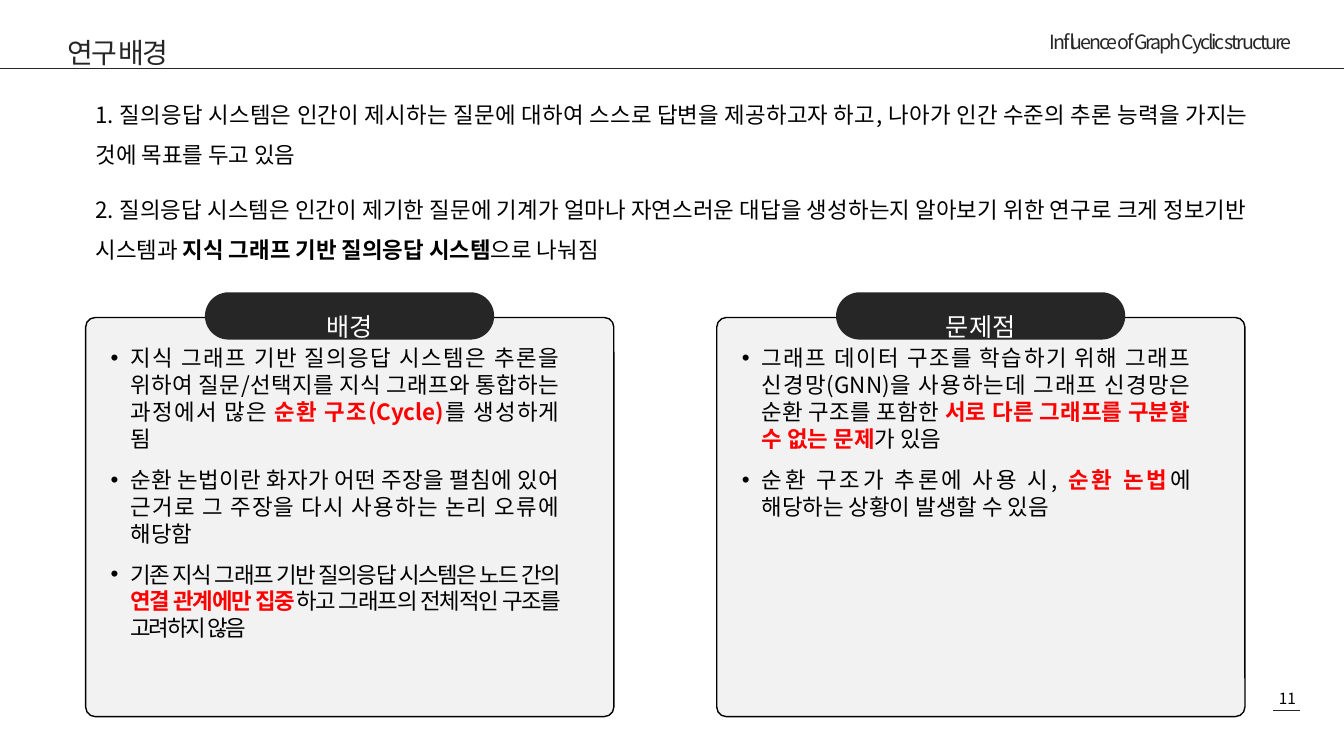
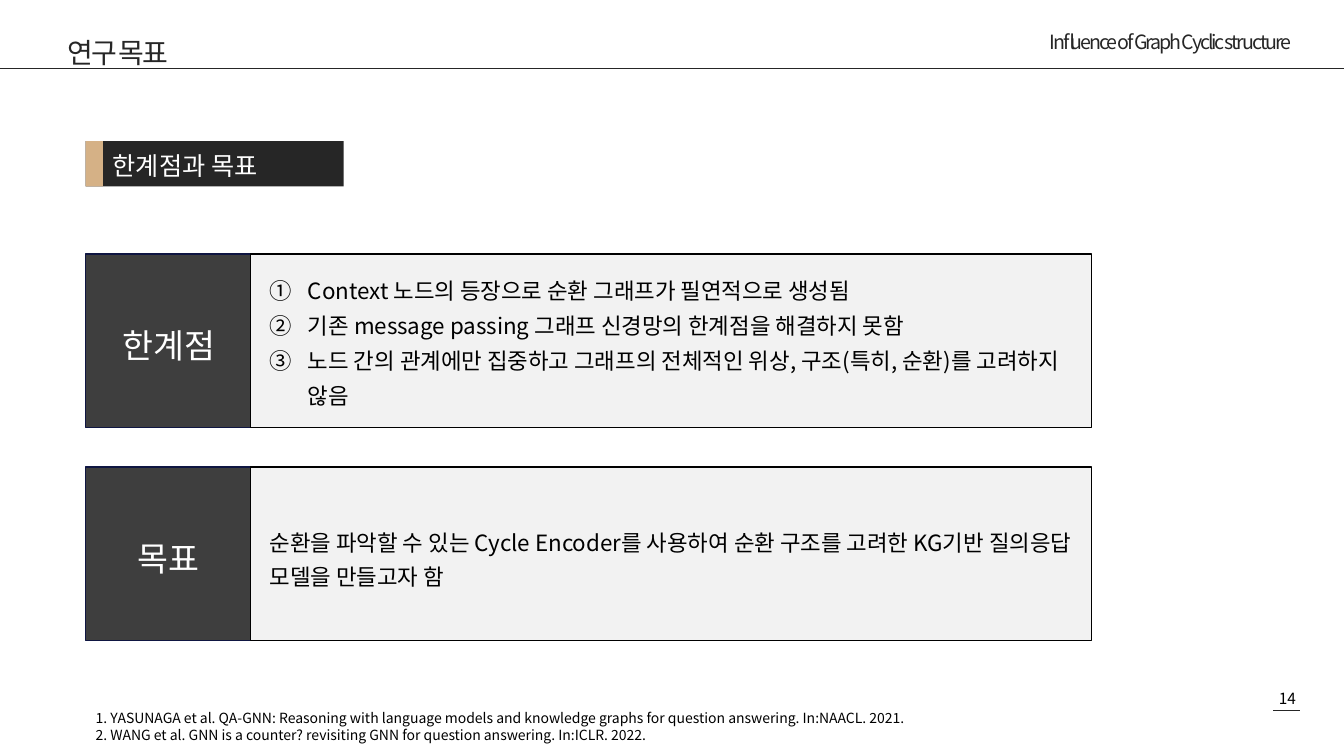
"""Build two research slides: background with problems, and limitations with goals."""

import dataclasses

import lxml.etree
import pptx
import pptx.dml.color
import pptx.enum.shapes
import pptx.enum.text
import pptx.oxml.ns
import pptx.util

Pt = pptx.util.Pt
ALIGN = pptx.enum.text.PP_ALIGN
ANCHOR = pptx.enum.text.MSO_ANCHOR
SHAPE = pptx.enum.shapes.MSO_SHAPE


@dataclasses.dataclass(frozen=True)
class Theme:
    """Colours, type sizes and shared measures of the deck."""

    font: str = "Noto Sans CJK KR"
    ink: str = "262626"
    text: str = "000000"
    light: str = "FFFFFF"
    alert: str = "FF0000"
    accent: str = "D5B186"
    panel: str = "F2F2F2"
    label: str = "3E3E3E"
    label_line: str = "0F1642"
    title_size: float = 20
    running_size: float = 14
    number_size: float = 11
    heading_size: float = 18
    label_size: float = 24
    body_size: float = 16
    reference_size: float = 10
    line_height: float = 1.2
    left: float = 61.2


THEME = Theme()


@dataclasses.dataclass(frozen=True)
class TextStyle:
    """Character and paragraph settings of one kind of text."""

    size: float
    color: str = THEME.text
    align: ALIGN = ALIGN.LEFT
    leading: float = 1
    gap: float = 0
    tracking: float = 0
    indent: float = 0
    hanging: float = 0
    bullet: str = ""
    numbering: str = ""


TITLE = TextStyle(THEME.title_size, THEME.ink, leading=1.3, tracking=-1.5)
RUNNING = TextStyle(THEME.running_size, THEME.ink, ALIGN.RIGHT, tracking=-1.5)
NUMBER = TextStyle(THEME.number_size, align=ALIGN.CENTER)
PILL = TextStyle(THEME.heading_size, THEME.light, ALIGN.CENTER)
SECTION = TextStyle(THEME.heading_size, THEME.light)
LABEL = TextStyle(THEME.label_size, THEME.light, ALIGN.CENTER, leading=1.2)
INTRO = TextStyle(THEME.body_size, align=ALIGN.JUSTIFY, leading=1.5, gap=10)
BULLET = TextStyle(THEME.body_size, align=ALIGN.JUSTIFY, gap=10,
                   indent=14.2, hanging=14.2, bullet="•")
TIGHT_BULLET = dataclasses.replace(BULLET, tracking=-1.5)
NUMBERED = TextStyle(THEME.body_size, leading=1.3, indent=33.8, hanging=27.4,
                     numbering="circleNumDbPlain")
STATEMENT = TextStyle(THEME.body_size, leading=1.3, indent=6.5)
REFERENCE = TextStyle(THEME.reference_size)


def rgb(value):
    """Return a colour object for a hexadecimal value."""
    return pptx.dml.color.RGBColor.from_string(value)


def add_element(parent, tag, **attributes):
    """Append a drawing element with the given attributes."""
    element = lxml.etree.SubElement(parent, pptx.oxml.ns.qn(tag))
    for name, value in attributes.items():
        element.set(name, value)


def add_run(paragraph, text, style, emphasis=""):
    """Add one run, optionally in bold or in bold alert colour."""
    run = paragraph.add_run()
    run.text = text
    run.font.size = Pt(style.size)
    run.font.bold = bool(emphasis)
    run.font.color.rgb = rgb(THEME.alert if emphasis == "alert" else style.color)
    run.font.name = THEME.font
    properties = run.font._element
    add_element(properties, "a:ea", typeface=THEME.font)
    if style.tracking:
        properties.set("spc", str(round(style.tracking * 100)))


def format_paragraph(paragraph, style, first):
    """Apply alignment, spacing, indents and bullets."""
    paragraph.alignment = style.align
    paragraph.line_spacing = Pt(style.size * THEME.line_height * style.leading)
    if style.gap and not first:
        paragraph.space_before = Pt(style.gap)
    properties = paragraph._p.get_or_add_pPr()
    properties.set("marL", str(Pt(style.indent)))
    properties.set("indent", str(-Pt(style.hanging)))
    if style.bullet:
        add_element(properties, "a:buFont", typeface="Arial")
        add_element(properties, "a:buChar", char=style.bullet)
    elif style.numbering:
        add_element(properties, "a:buFont", typeface="+mj-lt")
        add_element(properties, "a:buAutoNum", type=style.numbering)


def fill_text(shape, paragraphs, anchor=ANCHOR.TOP, left=7.2, top=3.6):
    """Write (style, runs) paragraphs into a shape."""
    frame = shape.text_frame
    frame.word_wrap = True
    frame.vertical_anchor = anchor
    frame.margin_left = Pt(left)
    frame.margin_top = Pt(top)
    for index, (style, *runs) in enumerate(paragraphs):
        paragraph = frame.add_paragraph() if index else frame.paragraphs[0]
        format_paragraph(paragraph, style, index == 0)
        for text, *emphasis in runs:
            add_run(paragraph, text, style, *emphasis)


def add_text(slide, box, paragraphs, anchor=ANCHOR.TOP):
    """Add a wrapping text box."""
    shape = slide.shapes.add_textbox(*map(Pt, box))
    fill_text(shape, paragraphs, anchor)


def add_block(slide, box, fill, line=None, corner=None):
    """Add a plain or rounded rectangle and return it."""
    kind = SHAPE.RECTANGLE if corner is None else SHAPE.ROUNDED_RECTANGLE
    shape = slide.shapes.add_shape(kind, *map(Pt, box))
    shape.shadow.inherit = False
    if corner is not None:
        shape.adjustments[0] = corner
    shape.fill.solid()
    shape.fill.fore_color.rgb = rgb(fill)
    if line:
        shape.line.color.rgb = rgb(line)
        shape.line.width = Pt(1)
    else:
        shape.line.fill.background()
    return shape


def add_rule(slide, start, end, y, width=0.5):
    """Add a horizontal line."""
    rule = slide.shapes.add_connector(
        pptx.enum.shapes.MSO_CONNECTOR.STRAIGHT, Pt(start), Pt(y), Pt(end), Pt(y))
    rule.line.color.rgb = rgb(THEME.ink)
    rule.line.width = Pt(width)
    add_element(rule._element.spPr, "a:effectLst")


def add_slide(presentation, title, number):
    """Add a blank slide with title, running head, rules and page number."""
    slide = presentation.slides.add_slide(presentation.slide_layouts[6])
    add_text(slide, (895, 489, 49, 21), [(NUMBER, (number,))])
    add_rule(slide, 909.4, 928.8, 507.6)
    add_text(slide, (515.5, 18, 414, 41),
             [(RUNNING, ("Influence of Graph Cyclic structure",))])
    add_rule(slide, 0, 960, 49, 0.1)
    add_rule(slide, 13, 947.5, 49)
    add_text(slide, (41, 9.4, 439, 49), [(TITLE, (title,))], ANCHOR.MIDDLE)
    return slide


def add_card(slide, left, heading, paragraphs):
    """Add a rounded panel with a pill heading and bullets."""
    add_block(slide, (left, 226.8, 377.3, 285.1), THEME.panel, THEME.text, 0.024)
    pill = add_block(slide, (left + 85.2, 208.8, 206.6, 33.8), THEME.ink, corner=0.5)
    fill_text(pill, [(PILL, (heading,))], top=8.6)
    add_text(slide, (left + 10.8, 242.6, 334.8, 165), paragraphs)


def add_section(slide, heading):
    """Add a dark section bar with an accent edge."""
    box = (THEME.left, 100.8, 184.3, 32.4)
    bar = add_block(slide, box, THEME.ink)
    fill_text(bar, [(SECTION, (heading,))], left=19.4, top=6.5)
    add_block(slide, (*box[:2], 12.4, box[3]), THEME.accent)


def add_row(slide, top, heading, paragraphs, inset):
    """Add a dark label with a light content panel beside it."""
    label = add_block(slide, (THEME.left, top, 118.5, 123.8),
                      THEME.label, THEME.label_line)
    fill_text(label, [(LABEL, (heading,))], ANCHOR.MIDDLE)
    content = add_block(slide, (THEME.left + 117.9, top, 600.5, 123.8),
                        THEME.panel, THEME.text)
    fill_text(content, paragraphs, top=inset)


def build_background(presentation):
    """Build the research background slide."""
    slide = add_slide(presentation, "연구 배경", "11")
    add_text(slide, (THEME.left, 59, 837.4, 95), [
        (INTRO, ("1. 질의응답 시스템은 인간이 제시하는 질문에 대하여 스스로 답변을 제공하고자 하고, "
                 "나아가 인간 수준의 추론 능력을 가지는 것에 목표를 두고 있음",)),
        (INTRO, ("2. 질의응답 시스템은 인간이 제기한 질문에 기계가 얼마나 자연스러운 대답을 "
                 "생성하는지 알아보기 위한 연구로 크게 정보기반 시스템과 ",),
         ("지식 그래프 기반 질의응답 시스템", "bold"), ("으로 나눠짐",)),
    ])
    cards = [
        ("배경", [
            (BULLET, ("지식 그래프 기반 질의응답 시스템은 추론을 위하여 질문/선택지를 "
                      "지식 그래프와 통합하는 과정에서 많은 ",),
             ("순환 구조(Cycle)", "alert"), ("를 생성하게 됨",)),
            (BULLET, ("순환 논법이란 화자가 어떤 주장을 펼침에 있어 근거로 그 주장을 다시 "
                      "사용하는 논리 오류에 해당함",)),
            (TIGHT_BULLET, ("기존 지식 그래프 기반 질의응답 시스템은 노드 간의 ",),
             ("연결 관계에만 집중", "alert"),
             ("하고 그래프의 전체적인 구조를 고려하지 않음",)),
        ]),
        ("문제점", [
            (BULLET, ("그래프 데이터 구조를 학습하기 위해 그래프 신경망(GNN)을 사용하는데 "
                      "그래프 신경망은 순환 구조를 포함한 ",),
             ("서로 다른 그래프를 구분할 수 없는 문제", "alert"), ("가 있음",)),
            (BULLET, ("순환 구조가 추론에 사용 시, ",), ("순환 논법", "alert"),
             ("에 해당하는 상황이 발생할 수 있음",)),
        ]),
    ]
    for index, (heading, paragraphs) in enumerate(cards):
        add_card(slide, THEME.left + index * 450.8, heading, paragraphs)


def build_goals(presentation):
    """Build the limitations and goals slide."""
    slide = add_slide(presentation, "연구 목표", "14")
    add_section(slide, "한계점과 목표")
    limitations = [
        "Context 노드의 등장으로 순환 그래프가 필연적으로 생성됨",
        "기존 message passing 그래프 신경망의 한계점을 해결하지 못함",
        "노드 간의 관계에만 집중하고 그래프의 전체적인 위상, 구조(특히, 순환)를 고려하지 않음",
    ]
    goal = ("순환을 파악할 수 있는 Cycle Encoder를 사용하여 순환 구조를 고려한 "
            "KG기반 질의응답 모델을 만들고자 함")
    add_row(slide, 181.4, "한계점", [(NUMBERED, (text,)) for text in limitations], 10.8)
    add_row(slide, 333.6, "목표", [(STATEMENT, (goal,))], 38.2)
    references = [
        "1. YASUNAGA et al. QA-GNN: Reasoning with language models and knowledge "
        "graphs for question answering. In:NAACL. 2021.",
        "2. WANG et al. GNN is a counter? revisiting GNN for question answering. "
        "In:ICLR. 2022.",
    ]
    add_text(slide, (THEME.left, 503.3, 615.6, 32),
             [(REFERENCE, (text,)) for text in references])


def main():
    """Create and save the presentation."""
    presentation = pptx.Presentation()
    presentation.slide_width = Pt(960)
    presentation.slide_height = Pt(540)
    build_background(presentation)
    build_goals(presentation)
    presentation.save("out.pptx")


if __name__ == "__main__":
    main()
